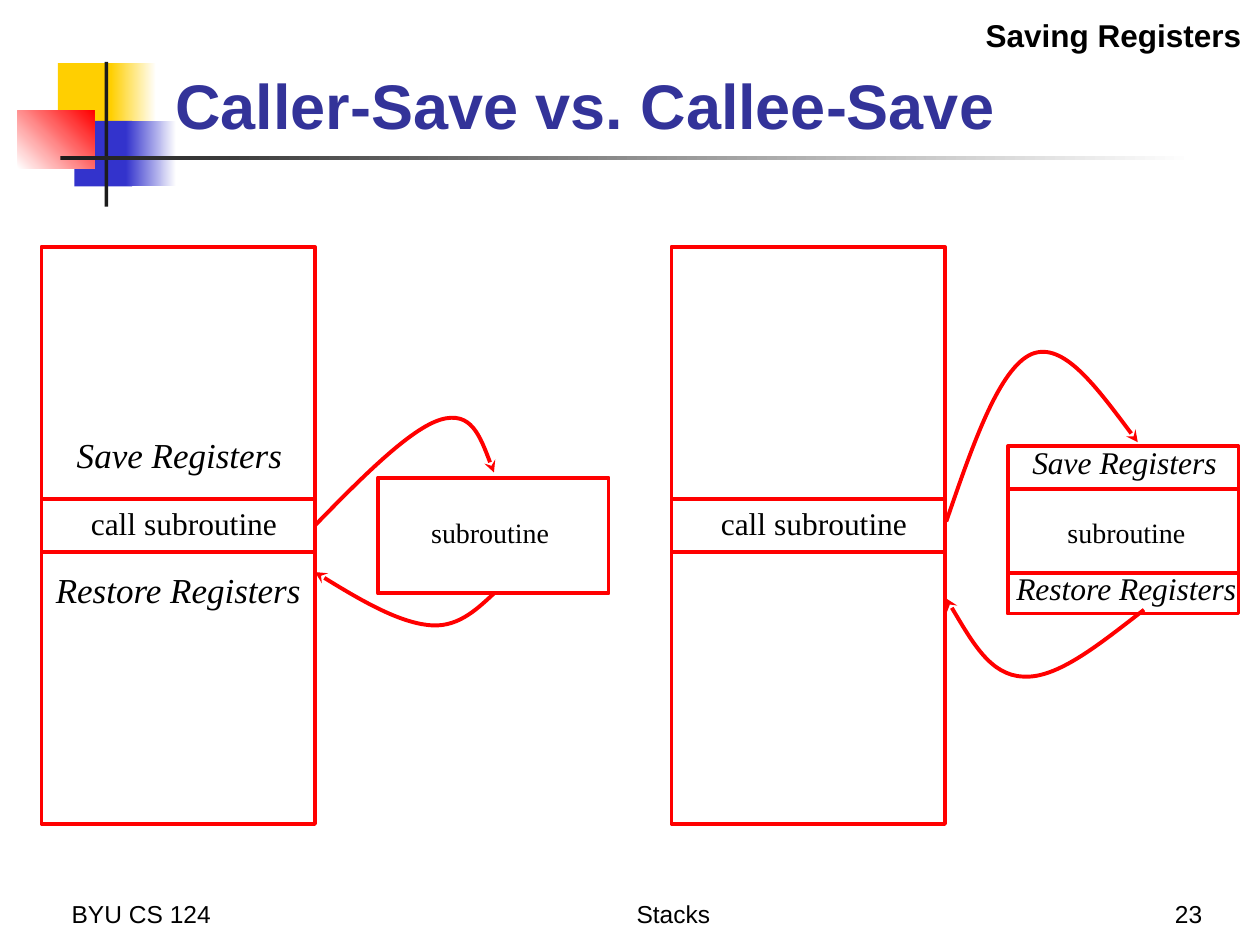
from lxml import etree
from pptx import Presentation
from pptx import util as u
from pptx.dml.color import RGBColor
from pptx.enum import shapes, text
from pptx.oxml.ns import qn

HUES = {"gold": "FFCF01", "blue": "3333CC", "red": "FF0000", "dark": "1C1C1C",
        "white": "FFFFFF", "title": "333399", "black": "000000"}
ALIGN = {"l": text.PP_ALIGN.LEFT, "c": text.PP_ALIGN.CENTER, "r": text.PP_ALIGN.RIGHT}
SERIF = {"name": "Times New Roman"}
SANS = {"name": "Arial"}
LEFT, RIGHT = 0.33, 5.33  # left edges of the two caller columns
COL_W, SUB_W = 2.17, 1.83


def hue(key):
    return RGBColor.from_string(HUES[key])


def style(frame, words, size, look, side="l", tone="black"):
    para = frame.paragraphs[0]
    para.text = words
    para.alignment = ALIGN[side]
    for key, val in {"size": u.Pt(size), **look}.items():
        setattr(para.font, key, val)
    para.font.color.rgb = hue(tone)


def label(group, box, words, size, look, side="c", wrap=False, low=False):
    frame = group.add_textbox(*map(u.Inches, box)).text_frame
    frame.word_wrap = wrap
    if low:
        frame.vertical_anchor = text.MSO_ANCHOR.BOTTOM
    style(frame, words, size, look, side)


def block(group, box):
    rect = group.add_shape(shapes.MSO_SHAPE.RECTANGLE, *map(u.Inches, box))
    rect.shadow.inherit = False
    return rect


def solid(group, box, tone):
    rect = block(group, box)
    rect.fill.solid()
    rect.fill.fore_color.rgb = hue(tone)
    rect.line.fill.background()


def fade(group, box, start, end, angle=0):
    rect = block(group, box)
    rect.fill.gradient()
    rect.fill.gradient_angle = angle
    for stop, tone in zip(rect.fill.gradient_stops, (start, end)):
        stop.color.rgb = hue(tone)
    rect.line.fill.background()


def outline(shape):
    shape.fill.background()
    shape.line.color.rgb = hue("red")
    shape.line.width = u.Pt(2.25)


def frame(group, *box):
    outline(block(group, box))


def curve(group, *points):
    """Bezier arrow: a start point, then three points for each segment."""
    (x, y), *rest = points
    pen = group.build_freeform(round(x * 100), round(y * 100), scale=u.Inches(0.01))
    pen.add_line_segments([(round(a * 100), round(b * 100)) for a, b in rest], close=False)
    shape = pen.convert_to_shape()
    shape.shadow.inherit = False
    outline(shape)
    track = next(shape.element.iter(qn("a:path")))
    lines = track.findall(qn("a:lnTo"))
    for i in range(0, len(lines), 3):
        bend = etree.SubElement(track, qn("a:cubicBezTo"))
        for line in lines[i:i + 3]:
            bend.append(line[0])
            track.remove(line)
    edge = shape.element.spPr.find(qn("a:ln"))
    etree.SubElement(edge, qn("a:tailEnd"), type="stealth")


def motif(group):
    solid(group, (0.46, 0.5, 0.48, 0.52), "gold")
    fade(group, (0.88, 0.5, 0.36, 0.52), "gold", "white")
    solid(group, (0.59, 0.96, 0.46, 0.52), "blue")
    fade(group, (1, 0.96, 0.4, 0.52), "blue", "white")
    fade(group, (0.14, 0.88, 0.61, 0.46), "white", "red", 45)
    solid(group, (0.83, 0.49, 0.03, 1.15), "dark")
    fade(group, (0.48, 1.24, 9, 0.03), "dark", "white")


def caller(group, x):
    frame(group, x, 1.96, COL_W, 4.58)
    frame(group, x, 3.96, COL_W, 0.42)
    label(group, (x + 0.29, 3.95, 1.68, 0.4), "call subroutine", 18, SERIF)


def saves(group, size, *boxes):
    for box, verb in zip(boxes, ("Save", "Restore")):
        label(group, box, f"{verb} Registers", size, {**SERIF, "italic": True})


def callee(group, x, y, height, word_x):
    frame(group, x, y, SUB_W, height)
    label(group, (word_x, 4.04, 1.14, 0.37), "subroutine", 16, SERIF)


def left(group):
    caller(group, LEFT)
    callee(group, 3, 3.79, 0.92, 3.32)
    saves(group, 20, (0.51, 3.39, 1.83, 0.43), (0.34, 4.46, 2.15, 0.43))
    curve(group, (2.5, 4.17), (2.88, 3.78), (3.26, 3.4), (3.5, 3.33),
          (3.74, 3.26), (3.83, 3.51), (3.92, 3.75))
    curve(group, (3.92, 4.71), (3.77, 4.85), (3.62, 4.99), (3.39, 4.96),
          (3.15, 4.93), (2.82, 4.74), (2.5, 4.54))


def right(group):
    caller(group, RIGHT)
    callee(group, 8, 3.54, 1.33, 8.37)
    frame(group, 8, 3.88, SUB_W, 0.67)
    saves(group, 18, (8.09, 3.47, 1.67, 0.4), (7.96, 4.47, 1.96, 0.4))
    curve(group, (7.51, 4.14), (7.72, 3.53), (7.93, 2.92), (8.19, 2.81),
          (8.44, 2.71), (8.73, 3.11), (9.03, 3.51))
    curve(group, (9.08, 4.84), (8.73, 5.11), (8.39, 5.39), (8.12, 5.37),
          (7.86, 5.36), (7.69, 5.05), (7.51, 4.75))


def heading(title):
    place = zip(("left", "top", "width", "height"), (1.29, 0.23, 8.52, 0.95))
    for key, val in place:
        setattr(title, key, u.Inches(val))
    body = title.text_frame
    body.auto_size = text.MSO_AUTO_SIZE.NONE
    body.vertical_anchor = text.MSO_ANCHOR.BOTTOM
    style(body, "Caller-Save vs. Callee-Save", 36, {**SANS, "bold": True}, tone="title")


def main():
    deck = Presentation()
    deck.slide_width, deck.slide_height = u.Inches(10), u.Inches(7.5)
    slide = deck.slides.add_slide(deck.slide_layouts.get_by_name("Title Only"))
    tree = slide.shapes
    heading(tree.title)
    for draw in (motif, right, left):
        draw(tree.add_group_shape().shapes)
    for x, width, words, side in ((0.47, 2.08, "BYU CS 124", "l"),
                                  (2.78, 5.13, "Stacks", "c"),
                                  (7.56, 2.08, "23", "r")):
        label(tree, (x, 6.92, width, 0.5), words, 14, SANS, side, wrap=True, low=True)
    label(tree, (5.93, 0.08, 4.02, 0.4), "Saving Registers", 18,
          {**SANS, "bold": True}, "r", wrap=True)
    deck.save("out.pptx")


if __name__ == "__main__":
    main()
